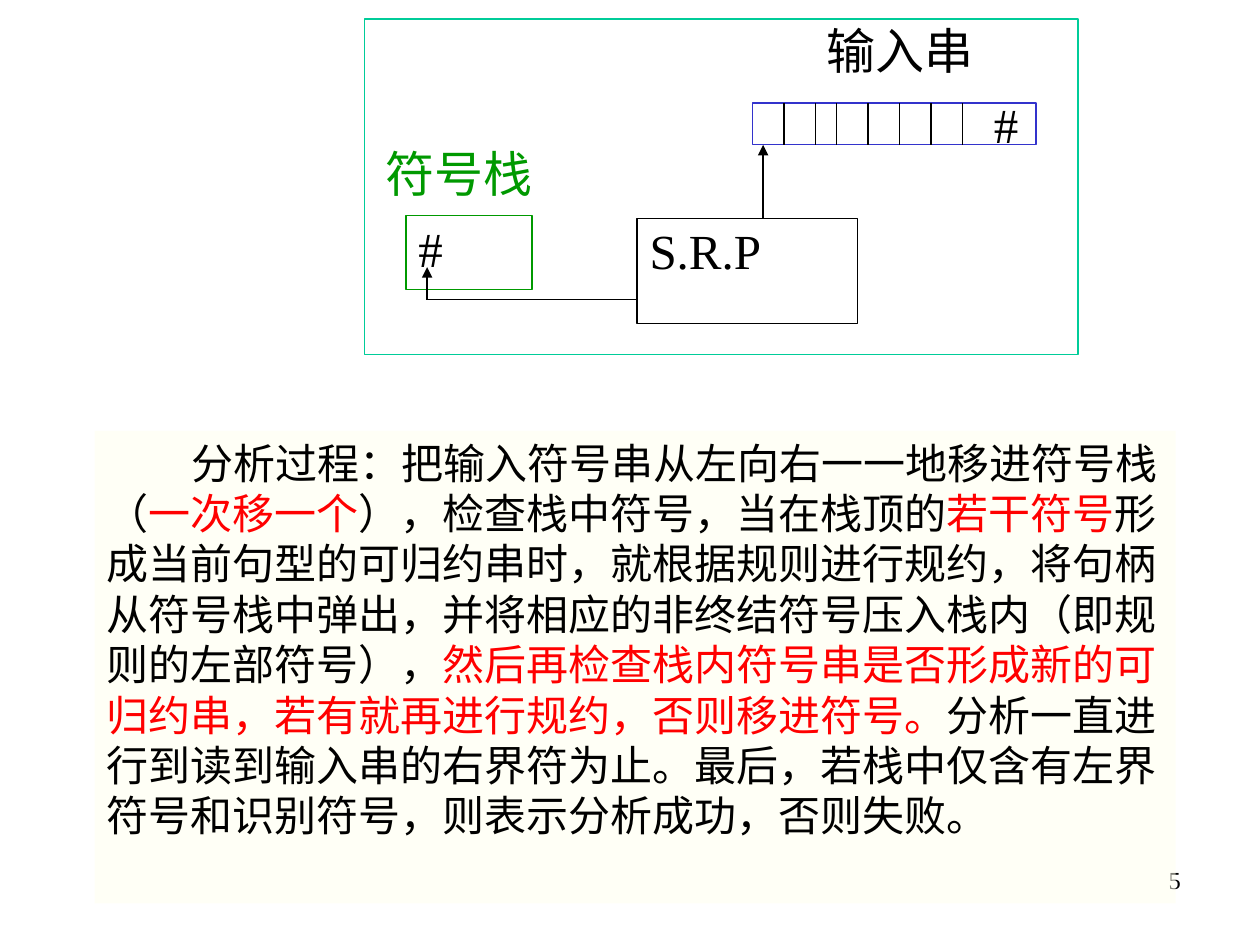
from dataclasses import dataclass
from itertools import accumulate

from lxml import etree
from pptx import Presentation
from pptx import util as u
from pptx.dml.color import RGBColor
from pptx.enum import shapes, text
from pptx.oxml.ns import qn

FONT = "Times New Roman"
COLORS = {
    "ink": "000000",
    "red": "FF0000",
    "frame": "00CC99",
    "stack": "009900",
    "tape": "3333CC",
    "panel": "FFFFEF",
}

# The diagram sits on a grid of twelfths of an inch, counted from its frame.
CELL = 1 / 12
LEFT, TOP = 2.89, 0.15


@dataclass
class Box:
    col: float
    row: float
    cols: float
    rows: float
    line: str
    label: str = ""


@dataclass
class Label:
    words: str
    col: float
    row: float
    cols: float
    color: str = "ink"


@dataclass
class Wire:
    start: tuple[float, float]
    end: tuple[float, float]
    arrow: bool = False


TAPE = Box(37, 8, 27, 4, "tape")
TAPE_CELLS = [3, 3, 2, 3, 3, 3, 3]

BOXES = [
    Box(0, 0, 68, 32, "frame"),
    Box(4, 18.75, 12, 7, "stack", "#"),
    Box(26, 19, 21, 10, "ink", "S.R.P"),
    TAPE,
]
DIVIDERS = [
    Wire((TAPE.col + edge, TAPE.row), (TAPE.col + edge, TAPE.row + TAPE.rows))
    for edge in accumulate(TAPE_CELLS)
]
WIRES = DIVIDERS + [
    Wire((26, 26.75), (6, 26.75)),
    Wire((6, 26.75), (6, 23.65), arrow=True),
    Wire((38, 19), (38, 12), arrow=True),
]
LABELS = [
    Label("#", 58.8, 6.6, 4.8),
    Label("符号栈", 0.84, 11.28, 16.44, "stack"),
    Label("输入串", 42.84, -0.48, 16.44),
]
PROCESS = [
    ("分析过程：把输入符号串从左向右一一地移进符号栈（", "ink"),
    ("一次移一个", "red"),
    ("），检查栈中符号，当在栈顶的", "ink"),
    ("若干符号", "red"),
    ("形成当前句型的可归约串时，就根据规则进行规约，将句柄从符号栈中弹出，"
     "并将相应的非终结符号压入栈内（即规则的左部符号），", "ink"),
    ("然后再检查栈内符号串是否形成新的可归约串，若有就再进行规约，"
     "否则移进符号。", "red"),
    ("分析一直进行到读到输入串的右界符为止。最后，若栈中仅含有左界符号和"
     "识别符号，则表示分析成功，否则失败。", "ink"),
]


def rgb(name: str) -> RGBColor:
    return RGBColor.from_string(COLORS[name])


def x(col: float) -> int:
    return u.Inches(LEFT + col * CELL)


def y(row: float) -> int:
    return u.Inches(TOP + row * CELL)


def span(cells: float) -> int:
    return u.Inches(cells * CELL)


def style(run, size: float, color: str) -> None:
    run.font.name = FONT
    run.font.size = u.Pt(size)
    run.font.color.rgb = rgb(color)


def write(frame, words: str, size: float, color: str = "ink",
          align=text.PP_ALIGN.LEFT) -> None:
    frame.text = words
    line = frame.paragraphs[0]
    line.alignment = align
    style(line.runs[0], size, color)


def draw_box(group, box: Box) -> None:
    rect = group.shapes.add_shape(
        shapes.MSO_SHAPE.RECTANGLE,
        x(box.col), y(box.row), span(box.cols), span(box.rows))
    rect.shadow.inherit = False
    rect.fill.background()
    rect.line.color.rgb = rgb(box.line)
    rect.line.width = u.Pt(0.75)
    if box.label:
        frame = rect.text_frame
        frame.vertical_anchor = text.MSO_ANCHOR.TOP
        frame.margin_top = u.Inches(0.02)
        write(frame, box.label, 28)


def draw_wire(group, wire: Wire) -> None:
    (col, row), (end_col, end_row) = wire.start, wire.end
    line = group.shapes.add_connector(
        shapes.MSO_CONNECTOR.STRAIGHT, x(col), y(row), x(end_col), y(end_row))
    line.line.color.rgb = rgb("ink")
    line.line.width = u.Pt(0.75)
    if wire.arrow:
        etree.SubElement(line.line._get_or_add_ln(), qn("a:tailEnd"),
                         type="triangle")
    etree.SubElement(line._element.spPr, qn("a:effectLst"))


def draw_label(group, label: Label) -> None:
    holder = group.shapes.add_textbox(
        x(label.col), y(label.row), span(label.cols), span(6.84))
    holder.text_frame.word_wrap = False
    write(holder.text_frame, label.words, 28, label.color)


def draw_process(slide) -> None:
    panel = slide.shapes.add_shape(
        shapes.MSO_SHAPE.RECTANGLE,
        u.Inches(0.75), u.Inches(3.42), u.Inches(8.58), u.Inches(3.75))
    panel.shadow.inherit = False
    panel.line.fill.background()
    panel.fill.solid()
    panel.fill.fore_color.rgb = rgb("panel")
    tint = panel._element.spPr.find(qn("a:solidFill"))[0]
    etree.SubElement(tint, qn("a:alpha"), val="50000")

    frame = panel.text_frame
    frame.word_wrap = True
    frame.vertical_anchor = text.MSO_ANCHOR.TOP
    story = frame.paragraphs[0]
    story.alignment = text.PP_ALIGN.LEFT
    story._p.get_or_add_pPr().set("indent", str(u.Inches(0.67)))
    for words, color in PROCESS:
        run = story.add_run()
        run.text = words
        style(run, 24, color)


def main() -> None:
    deck = Presentation()
    deck.slide_width, deck.slide_height = u.Inches(10), u.Inches(7.5)
    slide = deck.slides.add_slide(deck.slide_layouts[6])

    page_number = slide.shapes.add_textbox(
        u.Inches(7.39), u.Inches(6.82), u.Inches(2.08), u.Inches(0.5))
    page_number.text_frame.word_wrap = True
    write(page_number.text_frame, "5", 14, align=text.PP_ALIGN.RIGHT)
    draw_process(slide)

    diagram = slide.shapes.add_group_shape()
    for box in BOXES:
        draw_box(diagram, box)
    for wire in WIRES:
        draw_wire(diagram, wire)
    for label in LABELS:
        draw_label(diagram, label)

    deck.save("out.pptx")


if __name__ == "__main__":
    main()
